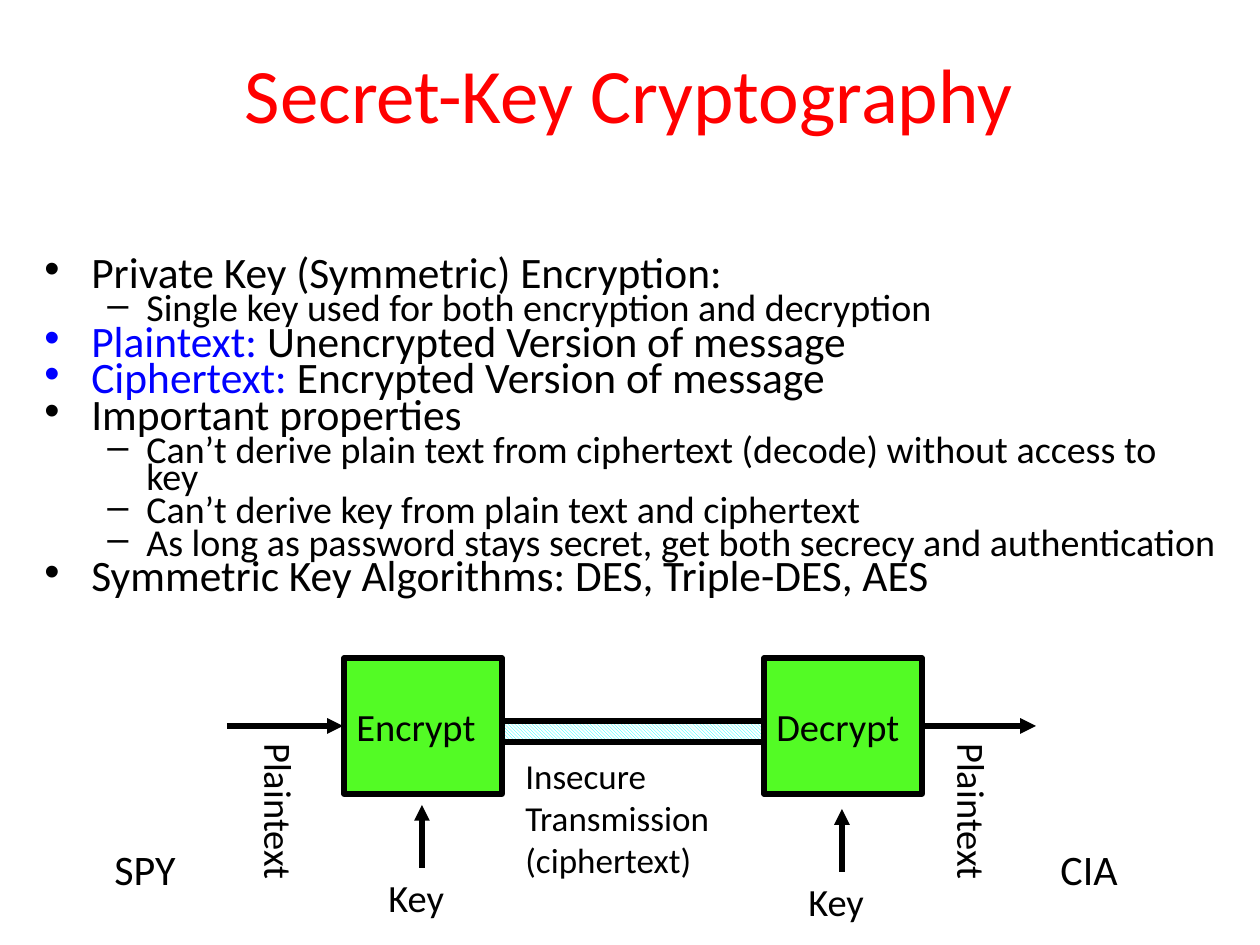
import pptx
import pptx.dml.color
import pptx.enum.dml
import pptx.enum.shapes
import pptx.enum.text
import pptx.oxml.ns
import pptx.util
from lxml import etree

PX = 914400 / 126
BLACK, WHITE, RED, BLUE = "000000", "FFFFFF", "FF0000", "0000FF"
GREEN, CYAN = "53FB25", "00FFFF"
ANCHOR = pptx.enum.text.MSO_ANCHOR
ALIGN = pptx.enum.text.PP_ALIGN


def px(length):
    return pptx.util.Emu(round(length * PX))


def color(value):
    return pptx.dml.color.RGBColor.from_string(value)


def child(parent, tag, **attributes):
    return etree.SubElement(parent, pptx.oxml.ns.qn(tag), attributes)


class SlideBuilder:
    font = "Calibri"
    line_width = 3

    def __init__(self, deck):
        self.slide = deck.slides.add_slide(deck.slide_layouts[5])
        self.shapes = self.slide.shapes

    def add_span(self, para, text, size, ink=BLACK):
        span = para.add_run()
        span.text = text
        span.font.name = self.font
        span.font.size = pptx.util.Pt(size)
        span.font.color.rgb = color(ink)

    def title(self, text, left, top, width, height):
        box = self.shapes.title
        box.left, box.top, box.width, box.height = map(px, (left, top, width, height))
        box.text_frame.vertical_anchor = ANCHOR.MIDDLE
        para = box.text_frame.paragraphs[0]
        para.alignment = ALIGN.CENTER
        self.add_span(para, text, 44, RED)

    def lines(self, frame, texts, size):
        frame.word_wrap = True
        for index, text in enumerate(texts):
            para = frame.add_paragraph() if index else frame.paragraphs[0]
            para.alignment = ALIGN.LEFT
            self.add_span(para, text, size)

    def label(self, texts, left, top, width, height, size=22, rotation=0):
        box = self.shapes.add_textbox(*map(px, (left, top, width, height)))
        box.rotation = rotation
        self.lines(box.text_frame, texts, size)

    def bullets(self, items, left, top, width, height):
        """Each item is a level and its (text, colour) spans."""
        frame = self.shapes.add_textbox(*map(px, (left, top, width, height))).text_frame
        frame.word_wrap = True
        frame.margin_top = px(11)
        styles = [("•", 47, 47, 24.8), ("–", 102, 39, 21.7)]
        for index, (level, spans) in enumerate(items):
            mark, margin, hanging, size = styles[level]
            para = frame.add_paragraph() if index else frame.paragraphs[0]
            para.level = level
            properties = para._p.get_or_add_pPr()
            properties.set("marL", str(px(margin)))
            properties.set("indent", str(px(-hanging)))
            child(properties, "a:buFont", typeface="Arial")
            child(properties, "a:buChar", char=mark)
            para.line_spacing = 0.6
            if index:
                para.space_before = pptx.util.Pt(3)
            for text, ink in spans:
                self.add_span(para, text, size, ink)

    def rectangle(self, left, top, width, height):
        shape = self.shapes.add_shape(pptx.enum.shapes.MSO_SHAPE.RECTANGLE,
                                      *map(px, (left, top, width, height)))
        shape.shadow.inherit = False
        shape.line.color.rgb = color(BLACK)
        shape.line.width = pptx.util.Pt(self.line_width)
        return shape

    def channel(self, left, top, width, height):
        fill = self.rectangle(left, top, width, height).fill
        fill.patterned()
        fill.pattern = pptx.enum.dml.MSO_PATTERN.DARK_DOWNWARD_DIAGONAL
        fill.fore_color.rgb = color(CYAN)
        fill.back_color.rgb = color(WHITE)

    def process(self, text, left, top, width, height):
        shape = self.rectangle(left, top, width, height)
        shape.fill.solid()
        shape.fill.fore_color.rgb = color(GREEN)
        shape.text_frame.vertical_anchor = ANCHOR.MIDDLE
        self.lines(shape.text_frame, [text], 22)

    def arrow(self, *ends):
        line = self.shapes.add_connector(pptx.enum.shapes.MSO_CONNECTOR.STRAIGHT,
                                         *map(px, ends))
        line.line.color.rgb = color(BLACK)
        line.line.width = pptx.util.Pt(self.line_width)
        child(line.line._get_or_add_ln(), "a:tailEnd", type="triangle")
        child(line._element.spPr, "a:effectLst")


def main():
    deck = pptx.Presentation()
    deck.slide_width, deck.slide_height = px(1260), px(945)
    page = SlideBuilder(deck)

    # Title and explanation
    page.title("Secret-Key Cryptography", 33, 14, 1192, 158)
    page.bullets([
        (0, [("Private Key (Symmetric) Encryption:", BLACK)]),
        (1, [("Single key used for both encryption and decryption", BLACK)]),
        (0, [("Plaintext:", BLUE), (" Unencrypted Version of message", BLACK)]),
        (0, [("Ciphertext:", BLUE), (" Encrypted Version of message", BLACK)]),
        (0, [("Important properties", BLACK)]),
        (1, [("Can’t derive plain text from ciphertext (decode) without access to key", BLACK)]),
        (1, [("Can’t derive key from plain text and ciphertext", BLACK)]),
        (1, [("As long as password stays secret, get both secrecy and authentication", BLACK)]),
        (0, [("Symmetric Key Algorithms: DES, Triple-DES, AES", BLACK)]),
    ], 32, 252, 1197, 412)

    # Transmission channel
    page.label(["Insecure", "Transmission", "(ciphertext)"], 513, 748, 238, 130, size=20)
    page.channel(481, 721, 294, 21)

    # Processing boxes, each with its key
    for text, left, key_top in (("Decrypt", 764, 872), ("Encrypt", 344, 868)):
        page.process(text, left, 658, 158, 136)
        page.label(["Key"], left + 32, key_top, 91, 49)
        page.arrow(left + 78, key_top, left + 78, key_top - 63)

    # Plaintext going in and coming out
    for left in (227, 920):
        page.arrow(left, 726, left + 116, 726)
        page.label(["Plaintext"], left - 37, 801, 189, 49, rotation=90)

    # Sender and receiver
    for text, left in (("SPY", 102), ("CIA", 1048)):
        page.label([text], left, 837, 104, 53, size=24)

    deck.save("out.pptx")


if __name__ == "__main__":
    main()
